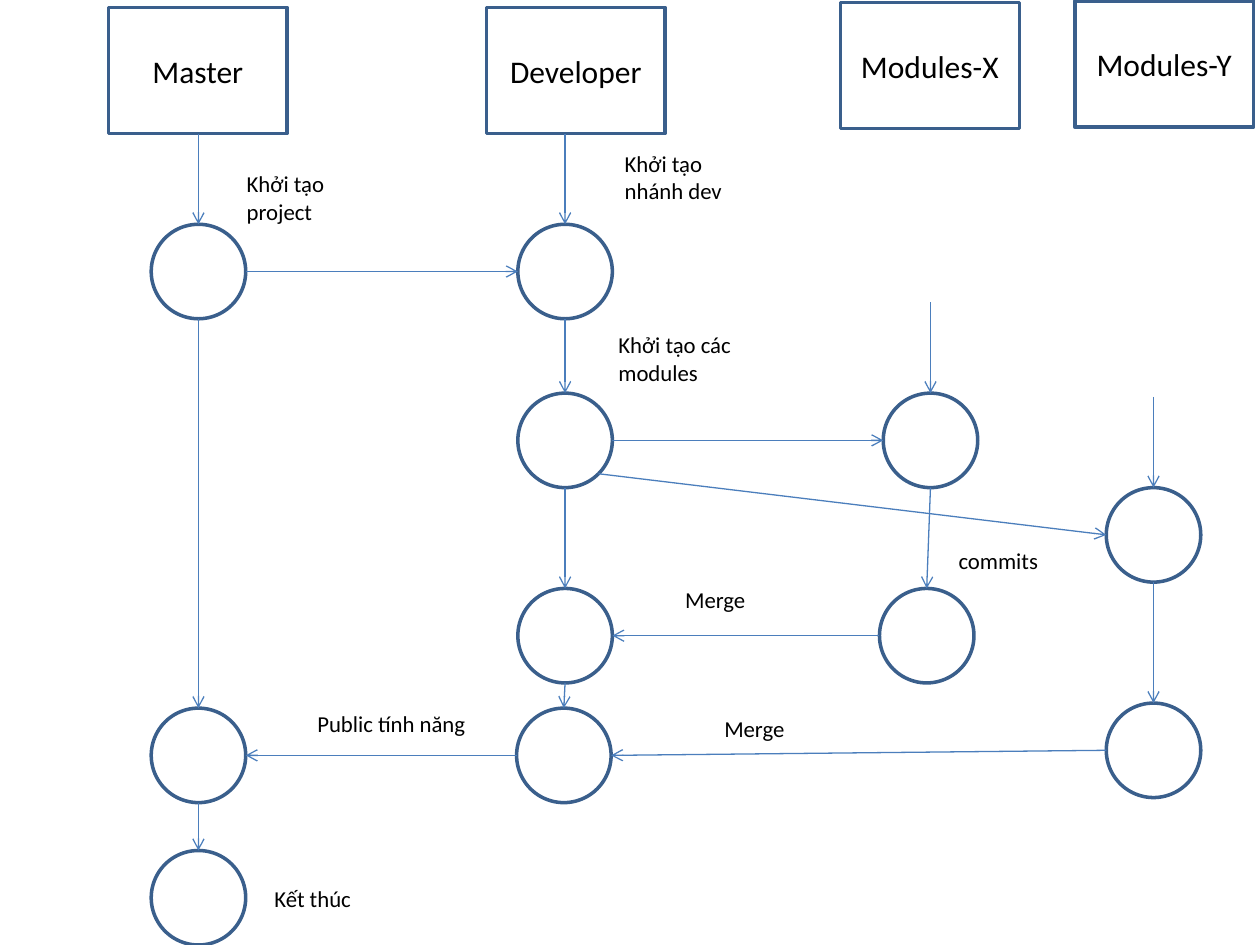
"""Build a slide showing a branching workflow across four branches."""
from math import sqrt

from lxml import etree
from pptx import Presentation
from pptx.dml.color import RGBColor
from pptx.enum.shapes import MSO_CONNECTOR, MSO_SHAPE
from pptx.enum.text import MSO_ANCHOR, PP_ALIGN
from pptx.oxml.ns import qn
from pptx.util import Inches, Pt

RECTANGLE, OVAL = MSO_SHAPE.RECTANGLE, MSO_SHAPE.OVAL
STRAIGHT = MSO_CONNECTOR.STRAIGHT
MIDDLE, CENTER = MSO_ANCHOR.MIDDLE, PP_ALIGN.CENTER
OUTLINE = RGBColor(0x3A, 0x5F, 0x8C)
ARROW = RGBColor(0x4B, 0x7E, 0xBC)
WHITE = RGBColor(0xFF, 0xFF, 0xFF)
BLACK = RGBColor(0, 0, 0)
FONT = "Calibri"
DIAMETER = 0.75
RADIUS = DIAMETER / 2
HEADER_WIDTH, HEADER_HEIGHT = 1.42, 1
DROP = 0.72
DIAGONAL = 1 / sqrt(2)
SIDES = {
    "top": (0, -1),
    "bottom": (0, 1),
    "left": (-1, 0),
    "right": (1, 0),
    "lower right": (DIAGONAL, DIAGONAL),
}

HEADERS = [
    ("Master", 0.86, 0.06),
    ("Developer", 3.86, 0.06),
    ("Modules-X", 6.67, 0.02),
    ("Modules-Y", 8.53, 0.01),
]
COMMITS = {
    "master start": (1.2, 1.78),
    "master release": (1.2, 5.62),
    "master end": (1.2, 6.75),
    "dev start": (4.11, 1.78),
    "dev modules": (4.11, 3.12),
    "dev merge x": (4.11, 4.67),
    "dev merge y": (4.1, 5.62),
    "x start": (7.01, 3.12),
    "x commit": (6.98, 4.67),
    "y start": (8.78, 3.87),
    "y commit": (8.78, 5.58),
}
ENTRIES = ["master start", "dev start", "x start", "y start"]
LINKS = [
    ("master start", "bottom", "master release", "top"),
    ("master release", "bottom", "master end", "top"),
    ("dev start", "bottom", "dev modules", "top"),
    ("dev modules", "bottom", "dev merge x", "top"),
    ("dev merge x", "bottom", "dev merge y", "top"),
    ("x start", "bottom", "x commit", "top"),
    ("y start", "bottom", "y commit", "top"),
    ("master start", "right", "dev start", "left"),
    ("dev modules", "right", "x start", "left"),
    ("dev modules", "lower right", "y start", "left"),
    ("x commit", "left", "dev merge x", "right"),
    ("y commit", "left", "dev merge y", "right"),
    ("dev merge y", "left", "master release", "right"),
]
LABELS = [
    ("Khởi tạo project", 1.86, 1.3, 1.17, 0.54),
    ("Khởi tạo nhánh dev", 4.86, 1.14, 1.3, 0.54),
    ("Khởi tạo các modules", 4.81, 2.58, 1.7, 0.54),
    ("commits", 7.51, 4.29, 1.17, 0.32),
    ("Merge", 5.34, 4.6, 1.17, 0.32),
    ("Merge", 5.65, 5.62, 1.17, 0.32),
    ("Public tính năng", 2.42, 5.58, 1.42, 0.32),
    ("Kết thúc", 2.08, 6.97, 0.95, 0.32),
]


def write_text(frame, text, size):
    """Fill a text frame with one paragraph and return it."""
    frame.word_wrap = True
    paragraph = frame.paragraphs[0]
    paragraph.text = text
    paragraph.font.name = FONT
    paragraph.font.size = Pt(size)
    paragraph.font.color.rgb = BLACK
    return paragraph


def add_outlined(page, kind, left, top, width, height):
    """Add a shape with the common outline."""
    shape = page.shapes.add_shape(
        kind, Inches(left), Inches(top), Inches(width), Inches(height))
    shape.shadow.inherit = False
    shape.line.color.rgb = OUTLINE
    shape.line.width = Pt(2)
    return shape


def add_header(page, text, left, top):
    """Add the titled box of a branch."""
    box = add_outlined(page, RECTANGLE, left, top, HEADER_WIDTH, HEADER_HEIGHT)
    box.fill.solid()
    box.fill.fore_color.rgb = WHITE
    box.text_frame.vertical_anchor = MIDDLE
    write_text(box.text_frame, text, 18).alignment = CENTER


def add_commit(page, left, top):
    """Add an unfilled commit circle."""
    circle = add_outlined(page, OVAL, left, top, DIAMETER, DIAMETER)
    circle.fill.background()


def add_label(page, text, left, top, width, height):
    """Add a wrapped caption."""
    box = page.shapes.add_textbox(
        Inches(left), Inches(top), Inches(width), Inches(height))
    write_text(box.text_frame, text, 13)


def add_arrow(page, start, end):
    """Add a straight arrow between two points."""
    points = [Inches(length) for length in (*start, *end)]
    connector = page.shapes.add_connector(STRAIGHT, *points)
    connector.line.color.rgb = ARROW
    connector.line.width = Pt(0.75)
    properties = connector.element.spPr
    line = properties.find(qn("a:ln"))
    etree.SubElement(line, qn("a:tailEnd"), type="arrow")
    etree.SubElement(properties, qn("a:effectLst"))


def edge_point(commit, side):
    """Return the point on a commit circle at the given side."""
    left, top = COMMITS[commit]
    across, down = SIDES[side]
    return left + RADIUS * (1 + across), top + RADIUS * (1 + down)


def main():
    """Build and save the slide."""
    deck = Presentation()
    deck.slide_width, deck.slide_height = Inches(10), Inches(7.5)
    page = deck.slides.add_slide(deck.slide_layouts[6])
    for header in HEADERS:
        add_header(page, *header)
    for position in COMMITS.values():
        add_commit(page, *position)
    for commit in ENTRIES:
        x, y = edge_point(commit, "top")
        add_arrow(page, (x, y - DROP), (x, y))
    for source, source_side, target, target_side in LINKS:
        add_arrow(page, edge_point(source, source_side),
                  edge_point(target, target_side))
    for label in LABELS:
        add_label(page, *label)
    deck.save("out.pptx")


main()
